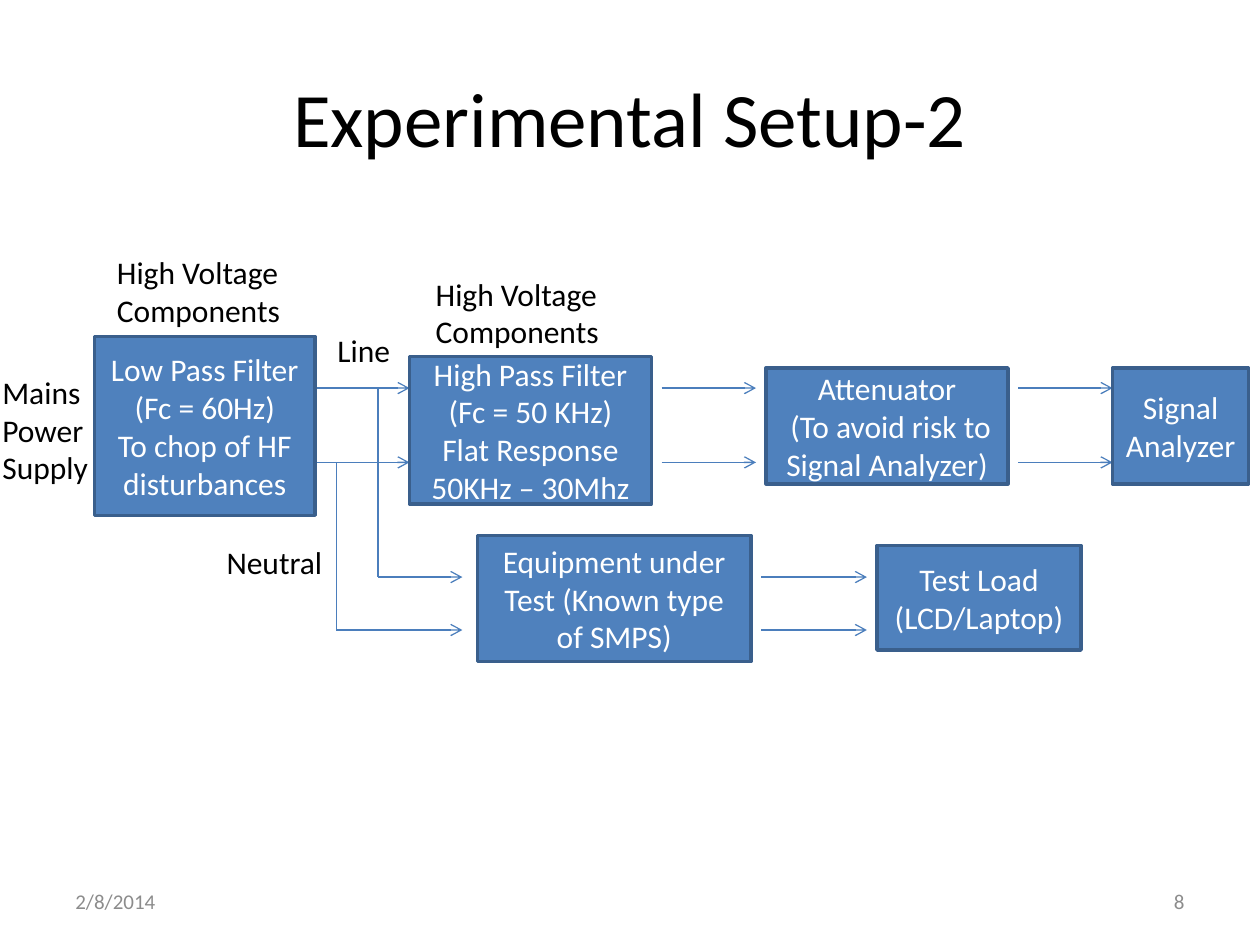
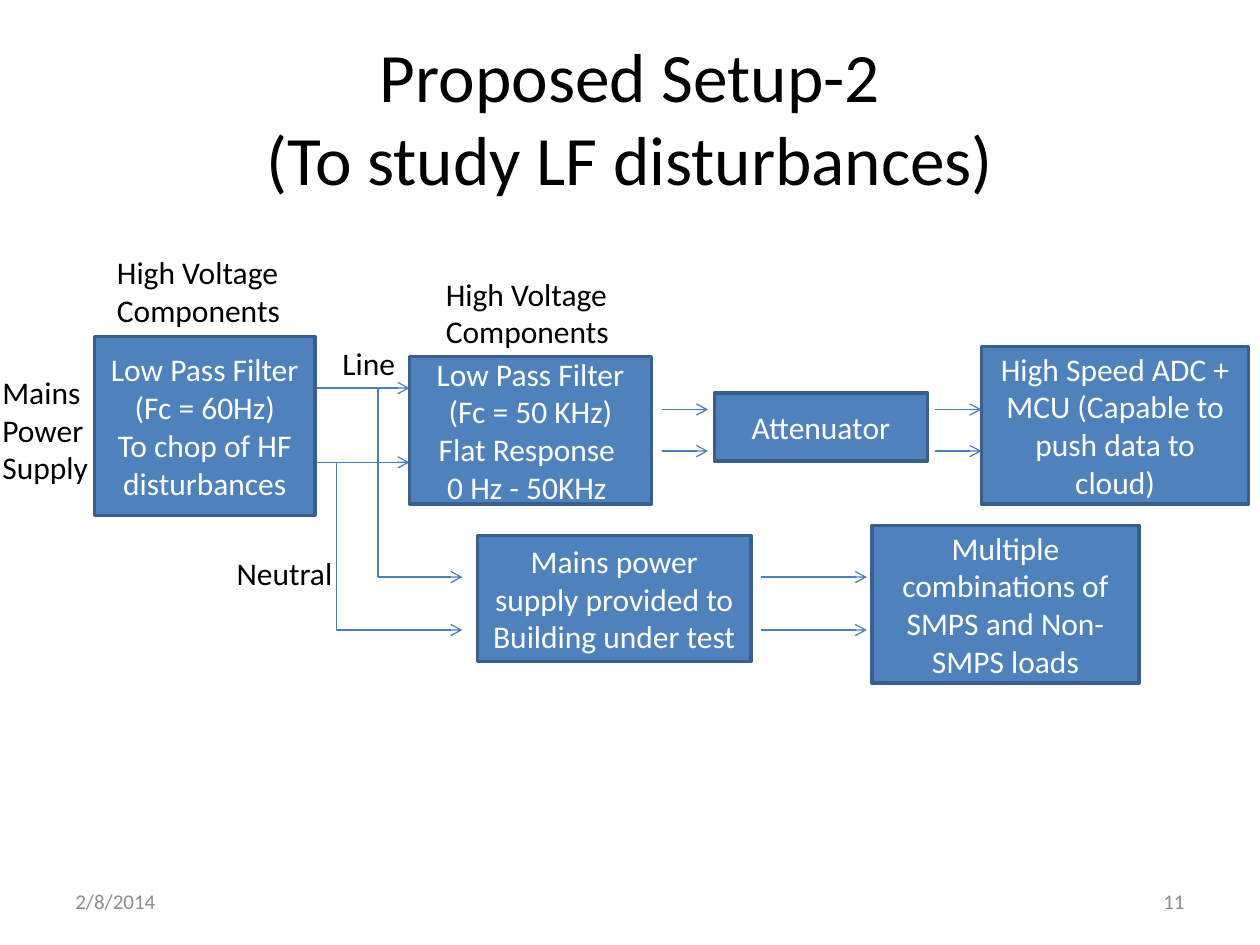
from dataclasses import dataclass

from lxml.etree import SubElement
from pptx import Presentation
from pptx.dml.color import RGBColor
from pptx.enum.shapes import MSO_CONNECTOR, MSO_SHAPE
from pptx.enum.text import MSO_ANCHOR, MSO_AUTO_SIZE, PP_ALIGN
from pptx.oxml.ns import qn
from pptx.util import Inches, Pt


@dataclass(frozen=True)
class Theme:
    font: str = "Calibri"
    ink: str = "000000"
    muted: str = "8C8C8C"
    box_fill: str = "4F81BD"
    box_line: str = "3A5F8C"
    box_text: str = "FFFFFF"
    wire: str = "4B7EBC"
    body_size: float = 18
    footer_size: float = 12
    box_line_width: float = 2
    wire_width: float = 0.75


theme = Theme()


def write_text(shape, text, size=theme.body_size, color=theme.ink,
               align=PP_ALIGN.LEFT, anchor=MSO_ANCHOR.MIDDLE, wrap=True,
               auto_size=MSO_AUTO_SIZE.NONE):
    frame = shape.text_frame
    frame.word_wrap = wrap
    frame.auto_size = auto_size
    frame.vertical_anchor = anchor
    frame.text = text
    for paragraph in frame.paragraphs:
        paragraph.alignment = align
        for run in paragraph.runs:
            run.font.name = theme.font
            run.font.size = Pt(size)
            run.font.color.rgb = RGBColor.from_string(color)


def add_wire(slide, start, end, arrow=True):
    wire = slide.shapes.add_connector(
        MSO_CONNECTOR.STRAIGHT, *map(Inches, start + end))
    wire.line.color.rgb = RGBColor.from_string(theme.wire)
    wire.line.width = Pt(theme.wire_width)
    if arrow:
        SubElement(wire.line._get_or_add_ln(), qn("a:tailEnd"), type="arrow")
    SubElement(wire._element.spPr, qn("a:effectLst"))


line_y, neutral_y = 3.08, 3.67
test_line_y, test_neutral_y = 4.58, 5
line_tap_x, neutral_tap_x = 3, 2.67
supply_rows = (line_y, neutral_y)
test_rows = (test_line_y, test_neutral_y)
signal_rows = (3.25, 3.58)

mains_filter = "Low Pass Filter (Fc = 60Hz)\nTo chop of HF disturbances"
high_voltage = "High Voltage \nComponents"
mains_filter_place = (0.75, 2.67, 1.75, 1.42)
second_filter_place = (3.25, 2.83, 1.92, 1.17)
test_place = (3.79, 4.25, 2.17, 1)

shared_labels = [
    ("Mains\nPower \nSupply", (-0.08, 2.91, 0.91, 1.01)),
    (high_voltage, (0.83, 1.96, 1.56, 0.71)),
]
shared_arrow_pairs = [(2.5, 3.25, supply_rows), (6.04, 6.88, test_rows)]

setups = [
    {
        "title": "Experimental Setup-2",
        "title_size": 44,
        "number": "8",
        "boxes": [
            (mains_filter, mains_filter_place),
            ("High Pass Filter (Fc = 50 KHz)\nFlat Response 50KHz – 30Mhz",
             second_filter_place),
            ("Attenuator\n (To avoid risk to Signal Analyzer)",
             (6.08, 2.92, 1.92, 0.92)),
            ("Signal Analyzer", (8.83, 2.92, 1.08, 0.92)),
            ("Equipment under Test (Known type of SMPS)", test_place),
            ("Test Load (LCD/Laptop)", (6.96, 4.33, 1.62, 0.83)),
        ],
        "arrow_pairs": [(5.25, 6, supply_rows), (8.08, 8.83, supply_rows)],
        "labels": [
            ("Line", (2.58, 2.58, 0.63, 0.4)),
            ("Neutral", (1.7, 4.26, 0.97, 0.4)),
            (high_voltage, (3.36, 2.13, 1.56, 0.71)),
        ],
    },
    {
        "title": "Proposed Setup-2\v(To study LF disturbances)",
        "title_size": 39.6,
        "number": "11",
        "boxes": [
            (mains_filter, mains_filter_place),
            ("Low Pass Filter (Fc = 50 KHz)\nFlat Response \n0 Hz - 50KHz ",
             second_filter_place),
            ("Attenuator", (5.67, 3.12, 1.69, 0.54)),
            ("High Speed ADC + MCU (Capable to push data to cloud)",
             (7.79, 2.75, 2.12, 1.25)),
            ("Mains power supply provided to Building under test", test_place),
            ("Multiple combinations of SMPS and Non-SMPS loads",
             (6.92, 4.17, 2.12, 1.25)),
        ],
        "arrow_pairs": [(5.25, 5.62, signal_rows), (7.42, 7.79, signal_rows)],
        "labels": [
            ("Line", (2.62, 2.68, 0.63, 0.4)),
            ("Neutral", (1.78, 4.35, 0.97, 0.4)),
            (high_voltage, (3.44, 2.13, 1.56, 0.71)),
        ],
    },
]

presentation = Presentation()
presentation.slide_width = Inches(10)
presentation.slide_height = Inches(7.5)
title_only = presentation.slide_layouts.get_by_name("Title Only")

for setup in setups:
    slide = presentation.slides.add_slide(title_only)
    title = slide.shapes.title
    title.left, title.top = Inches(0.5), Inches(0.3)
    title.width, title.height = Inches(9), Inches(1.25)
    write_text(title, setup["title"], size=setup["title_size"],
               align=PP_ALIGN.CENTER)

    for text, left, align in [("2/8/2014", 0.5, PP_ALIGN.LEFT),
                              (setup["number"], 7.17, PP_ALIGN.RIGHT)]:
        footer = slide.shapes.add_textbox(
            Inches(left), Inches(6.95), Inches(2.33), Inches(0.4))
        write_text(footer, text, size=theme.footer_size, color=theme.muted,
                   align=align)

    for start_x, end_x, rows in shared_arrow_pairs + setup["arrow_pairs"]:
        for y in rows:
            add_wire(slide, (start_x, y), (end_x, y))

    for tap_x, top, bottom in [(neutral_tap_x, neutral_y, test_neutral_y),
                               (line_tap_x, line_y, test_line_y)]:
        add_wire(slide, (tap_x, top), (tap_x, bottom), arrow=False)
        add_wire(slide, (tap_x, bottom), (3.67, bottom))

    for text, place in setup["boxes"]:
        box = slide.shapes.add_shape(MSO_SHAPE.RECTANGLE, *map(Inches, place))
        box.shadow.inherit = False
        box.fill.solid()
        box.fill.fore_color.rgb = RGBColor.from_string(theme.box_fill)
        box.line.color.rgb = RGBColor.from_string(theme.box_line)
        box.line.width = Pt(theme.box_line_width)
        write_text(box, text, color=theme.box_text, align=PP_ALIGN.CENTER)

    for text, place in shared_labels + setup["labels"]:
        label = slide.shapes.add_textbox(*map(Inches, place))
        write_text(label, text, anchor=MSO_ANCHOR.TOP, wrap=False,
                   auto_size=MSO_AUTO_SIZE.SHAPE_TO_FIT_TEXT)

presentation.save("out.pptx")
